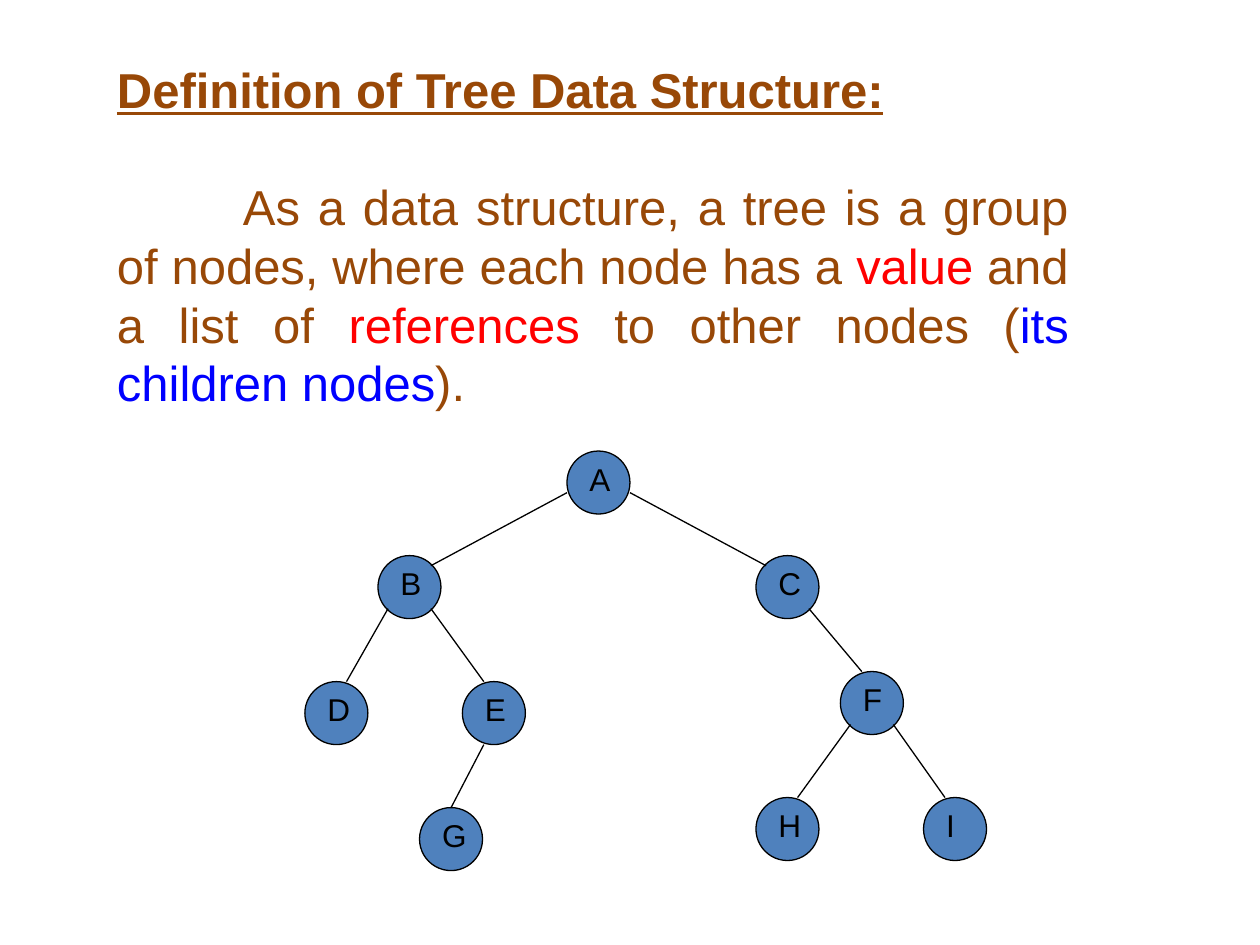
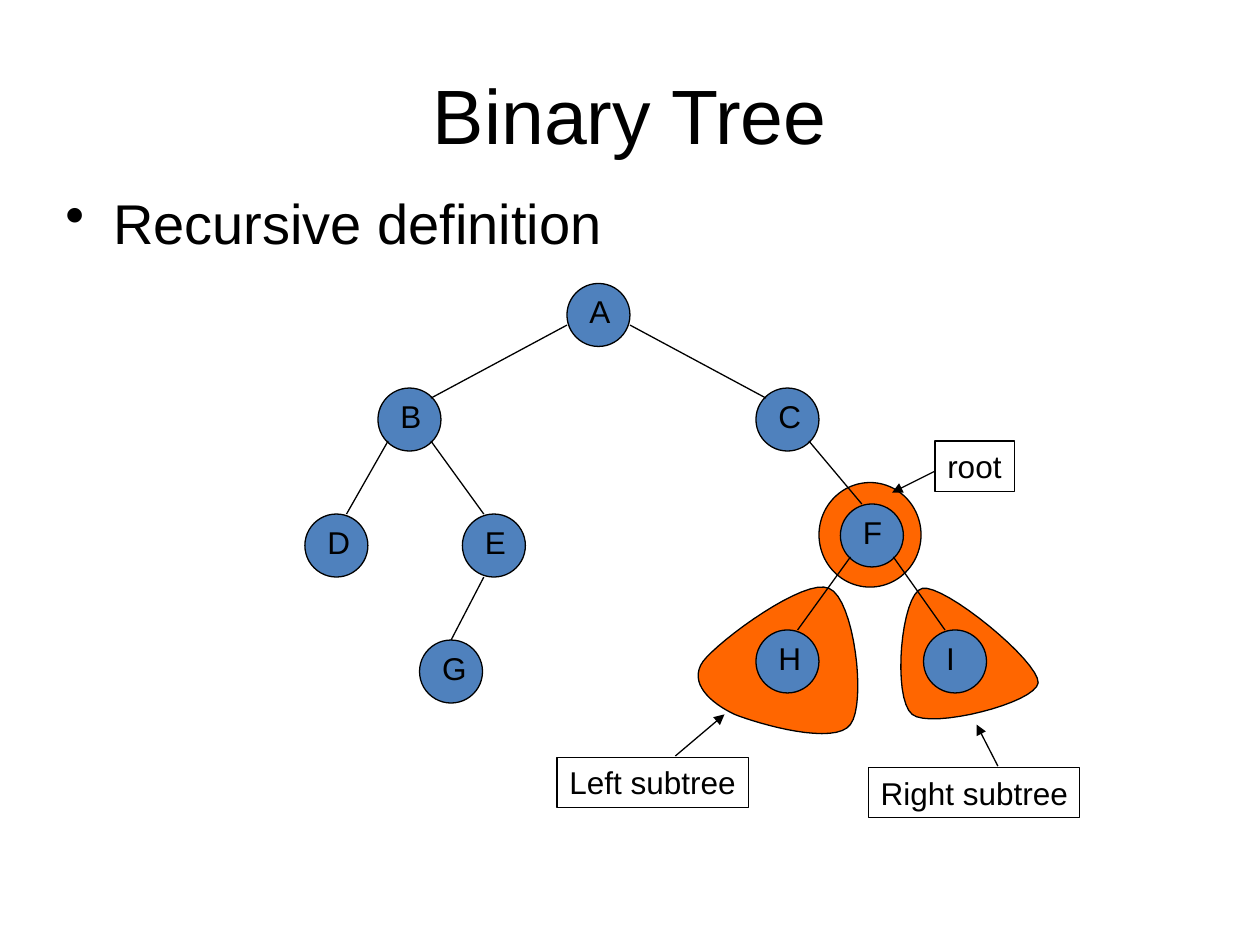
import pptx
import pptx.dml.color
import pptx.enum.shapes
import pptx.enum.text
import pptx.oxml.ns
import pptx.util
from lxml import etree

Inches = pptx.util.Inches
Pt = pptx.util.Pt
RGBColor = pptx.dml.color.RGBColor
ALIGN = pptx.enum.text.PP_ALIGN
ANCHOR = pptx.enum.text.MSO_ANCHOR
SHAPE = pptx.enum.shapes.MSO_SHAPE

BLACK = RGBColor(0x00, 0x00, 0x00)
BROWN = RGBColor(0x98, 0x48, 0x07)
RED = RGBColor(0xFF, 0x00, 0x00)
BLUE = RGBColor(0x00, 0x00, 0xFF)
NODE_BLUE = RGBColor(0x4F, 0x81, 0xBD)
ORANGE = RGBColor(0xFF, 0x66, 0x00)
FONT = "Arial"
LINE_WIDTH = Pt(0.75)
LINE_HEIGHT = 1.2
LABEL_SIZE = 18
NODE_SIZE = 0.5

DEFINITION_TITLE = "Definition of Tree Data Structure:"
DEFINITION = [
    ("As a data structure, a tree is a group of nodes, where each node has a ", BROWN),
    ("value", RED),
    (" and a list of ", BROWN),
    ("references", RED),
    (" to other nodes (", BROWN),
    ("its children nodes", BLUE),
    (").", BROWN),
]

NODES = {
    "A": (4.5, 0), "B": (3, 0.83), "C": (6, 0.83),
    "D": (2.42, 1.83), "E": (3.67, 1.83), "F": (6.67, 1.75),
    "G": (3.33, 2.83), "H": (6, 2.75), "I": (7.33, 2.75),
}
LEFT_CHILD = ((0.08, 0.42), (0.33, 0))
RIGHT_CHILD = ((0.42, 0.42), (0.17, 0))
EDGES = [
    ("A", "B", ((0, 0.33), (0.42, 0.08))),
    ("A", "C", ((0.5, 0.33), (0.08, 0.08))),
    ("B", "D", LEFT_CHILD),
    ("B", "E", RIGHT_CHILD),
    ("E", "G", ((0.17, 0.5), (0.25, 0))),
    ("C", "F", RIGHT_CHILD),
    ("F", "H", LEFT_CHILD),
    ("F", "I", RIGHT_CHILD),
]

LEFT_SUBTREE = ((6.58, 4.67), [
    ((6.39, 4.58), (5.71, 5.08), (5.58, 5.25)),
    ((5.46, 5.42), (5.64, 5.58), (5.83, 5.67)),
    ((6.03, 5.75), (6.63, 5.92), (6.75, 5.75)),
    ((6.88, 5.58), (6.78, 4.75), (6.58, 4.67)),
])
RIGHT_SUBTREE = ((7.32, 4.67), [
    ((7.15, 4.71), (7.08, 5.54), (7.24, 5.67)),
    ((7.39, 5.79), (8.22, 5.58), (8.24, 5.42)),
    ((8.25, 5.25), (7.49, 4.63), (7.32, 4.67)),
])
CALLOUTS = [
    ("root", (7.42, 3.5, 0.63, 0.4), (7.42, 3.74), (7.08, 3.91)),
    ("Right subtree", (6.89, 6.09, 1.68, 0.4), (7.92, 6.08), (7.75, 5.75)),
    ("Left subtree", (4.42, 6.01, 1.52, 0.4), (5.36, 6), (5.75, 5.67)),
]


def style_paragraph(paragraph, size, color=BLACK, align=ALIGN.LEFT, spacing=LINE_HEIGHT):
    paragraph.alignment = align
    paragraph.line_spacing = Pt(round(size * spacing, 1))
    paragraph.font.name = FONT
    paragraph.font.size = Pt(size)
    paragraph.font.color.rgb = color


def add_text(slide, box, text, size, color=BLACK, align=ALIGN.LEFT, spacing=LINE_HEIGHT):
    shape = slide.shapes.add_textbox(*map(Inches, box))
    shape.text_frame.word_wrap = True
    paragraph = shape.text_frame.paragraphs[0]
    paragraph.text = text
    style_paragraph(paragraph, size, color, align, spacing)
    return shape.text_frame


def style_shape(shape, fill=None):
    shape.shadow.inherit = False
    if fill is None:
        shape.fill.background()
    else:
        shape.fill.solid()
        shape.fill.fore_color.rgb = fill
    shape.line.color.rgb = BLACK
    shape.line.width = LINE_WIDTH


def add_circle(slide, box, fill):
    style_shape(slide.shapes.add_shape(SHAPE.OVAL, *map(Inches, box)), fill)


def add_line(slide, start, end, arrow=False):
    line = slide.shapes.add_connector(
        pptx.enum.shapes.MSO_CONNECTOR.STRAIGHT, *map(Inches, (*start, *end)))
    line.line.color.rgb = BLACK
    line.line.width = LINE_WIDTH
    if arrow:
        etree.SubElement(line.line._get_or_add_ln(), pptx.oxml.ns.qn("a:tailEnd"), type="triangle")
    etree.SubElement(line._element.spPr, pptx.oxml.ns.qn("a:effectLst"))


def add_tree(slide, top):
    for name, (left, drop) in NODES.items():
        add_circle(slide, (left, top + drop, NODE_SIZE, NODE_SIZE), NODE_BLUE)
        add_text(slide, (left + 0.08, top + drop + 0.02, 0.42, 0.4), name, LABEL_SIZE)
    for parent, child, offsets in EDGES:
        start, end = [
            (NODES[name][0] + across, top + NODES[name][1] + down)
            for name, (across, down) in zip((parent, child), offsets)
        ]
        add_line(slide, start, end)


def curve_points(start, curves, steps=16):
    points = []
    for first, second, end in curves:
        for step in range(1, steps + 1):
            t = step / steps
            u = 1 - t
            points.append(tuple(
                Inches(u**3 * a + 3 * u * u * t * b + 3 * u * t * t * c + t**3 * d)
                for a, b, c, d in zip(start, first, second, end)))
        start = end
    return points


def add_subtree(slide, outline):
    points = curve_points(*outline)
    builder = slide.shapes.build_freeform(*points[-1])
    builder.add_line_segments(points[:-1], close=True)
    style_shape(builder.convert_to_shape(), ORANGE)


def add_callout(slide, text, box, start, end):
    shape = slide.shapes.add_shape(SHAPE.RECTANGLE, *map(Inches, box))
    style_shape(shape)
    shape.text_frame.word_wrap = False
    paragraph = shape.text_frame.paragraphs[0]
    paragraph.text = text
    style_paragraph(paragraph, LABEL_SIZE)
    add_line(slide, start, end, arrow=True)


def build_definition(slide):
    frame = add_text(slide, (0.83, 0.42, 7.75, 3.84), DEFINITION_TITLE, 28, BROWN)
    heading = frame.paragraphs[0]
    heading.font.bold = True
    heading.font.underline = True
    heading.space_after = Pt(33.6)
    paragraph = frame.add_paragraph()
    style_paragraph(paragraph, 28, BROWN, ALIGN.JUSTIFY)
    paragraph._p.get_or_add_pPr().set("indent", str(Inches(1)))
    for text, color in DEFINITION:
        run = paragraph.add_run()
        run.text = text
        run.font.color.rgb = color
    add_tree(slide, 3.58)


def build_binary_tree(slide):
    add_subtree(slide, LEFT_SUBTREE)
    add_subtree(slide, RIGHT_SUBTREE)
    add_circle(slide, (6.5, 3.83, 0.81, 0.83), ORANGE)
    title = add_text(slide, (0.5, 0.4, 9, 1), "Binary Tree", 44, align=ALIGN.CENTER)
    title.vertical_anchor = ANCHOR.MIDDLE
    body = add_text(slide, (0.42, 1.5, 9, 0.58), "Recursive definition", 32, spacing=1.08)
    properties = body.paragraphs[0]._p.get_or_add_pPr()
    properties.set("marL", str(Inches(0.38)))
    properties.set("indent", str(Inches(-0.38)))
    bullet = etree.Element(pptx.oxml.ns.qn("a:buChar"), char="•")
    properties.find(pptx.oxml.ns.qn("a:defRPr")).addprevious(bullet)
    add_tree(slide, 2.25)
    for callout in CALLOUTS:
        add_callout(slide, *callout)


def main():
    presentation = pptx.Presentation()
    presentation.slide_width = Inches(10)
    presentation.slide_height = Inches(7.5)
    for build in (build_definition, build_binary_tree):
        build(presentation.slides.add_slide(presentation.slide_layouts[6]))
    presentation.save("out.pptx")


if __name__ == "__main__":
    main()
